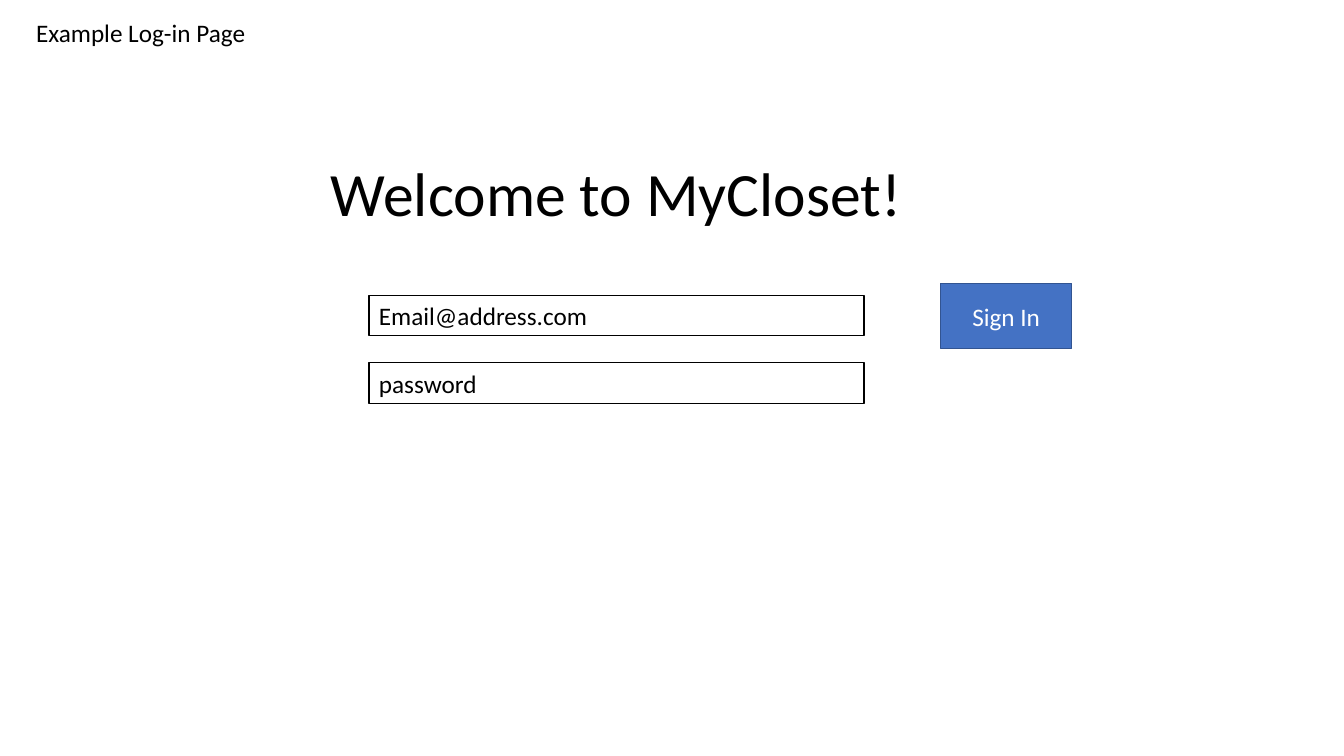
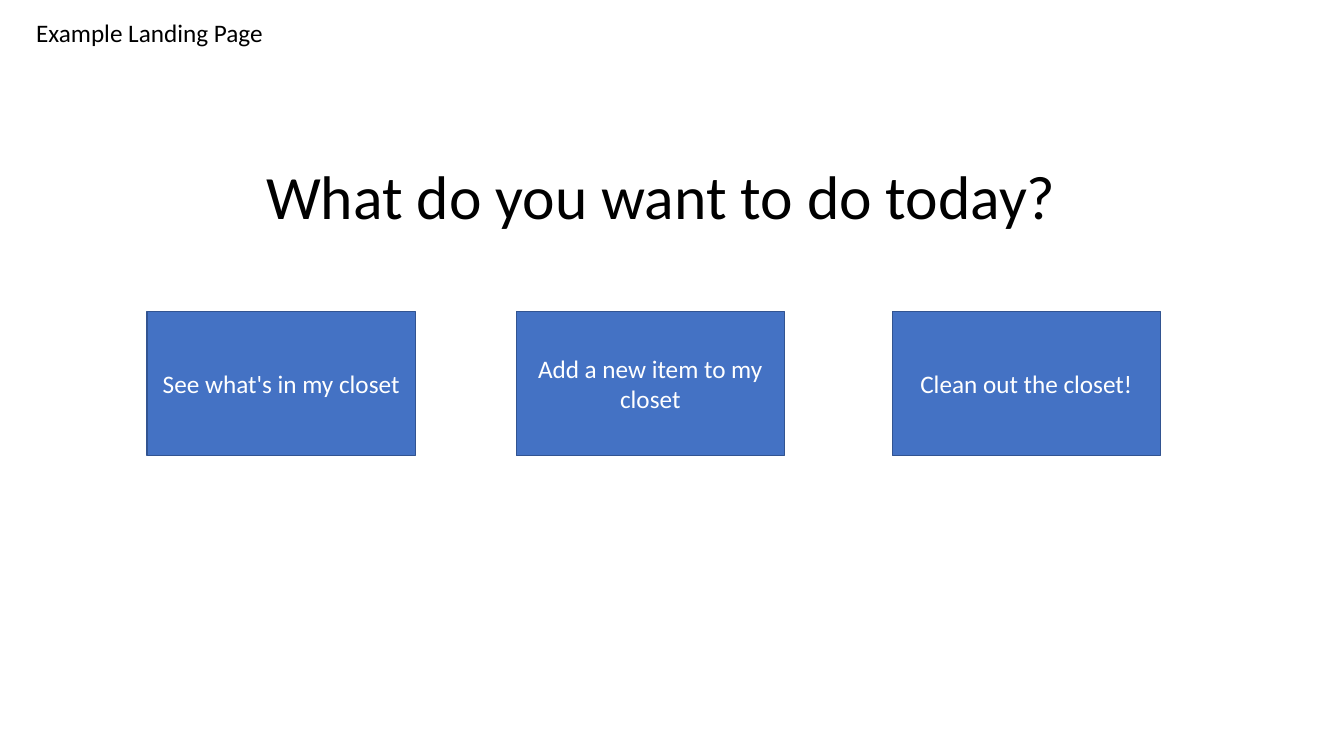
from pptx import Presentation
from pptx.dml.color import RGBColor
from pptx.enum.shapes import MSO_SHAPE
from pptx.enum.text import MSO_ANCHOR, MSO_AUTO_SIZE, PP_ALIGN
from pptx.util import Emu, Pt

PX = 9144
COLORS = {"black": "000000", "white": "FFFFFF", "blue": "4472C4", "navy": "325491"}
FONT = "Calibri"


def put_text(sp, text, size=18, color="black", align=PP_ALIGN.LEFT, anchor=MSO_ANCHOR.TOP):
    tf = sp.text_frame
    tf.word_wrap = True
    tf.auto_size = MSO_AUTO_SIZE.NONE
    tf.vertical_anchor = anchor
    p = tf.paragraphs[0]
    p.alignment = align
    r = p.add_run()
    r.text = text
    r.font.name = FONT
    r.font.size = Pt(size)
    r.font.color.rgb = RGBColor.from_string(COLORS[color])


def add_box(s, box, line, width, fill=None):
    sp = s.shapes.add_shape(MSO_SHAPE.RECTANGLE, *[Emu(v * PX) for v in box])
    sp.shadow.inherit = False
    if fill:
        sp.fill.solid()
        sp.fill.fore_color.rgb = RGBColor.from_string(COLORS[fill])
    else:
        sp.fill.background()
    sp.line.color.rgb = RGBColor.from_string(COLORS[line])
    sp.line.width = Pt(width)
    return sp


pages = [
    {
        "label": "Example Log-in Page",
        "title": "Welcome to MyCloset!",
        "title_box": (318, 149, 698, 84),
        "fields": [("Email@address.com", (366, 293, 491, 40)),
                   ("password", (366, 360, 491, 40))],
        "buttons": [("Sign In", (933, 281, 130, 65))],
    },
    {
        "label": "Example Landing Page",
        "title": "What do you want to do today?",
        "title_box": (254, 152, 825, 84),
        "fields": [],
        "buttons": [("See what's in my closet", (146, 309, 266, 143)),
                    ("Add a new item to my closet", (512, 309, 266, 143)),
                    ("Clean out the closet!", (885, 309, 266, 143))],
    },
]

prs = Presentation()
prs.slide_width = Emu(1333 * PX)
prs.slide_height = Emu(750 * PX)
title_only = prs.slide_layouts[5]

for page in pages:
    s = prs.slides.add_slide(title_only)

    label = s.shapes.add_textbox(*[Emu(v * PX) for v in (26, 12, 300, 40)])
    put_text(label, page["label"])

    title = s.shapes.title
    title.left, title.top, title.width, title.height = [Emu(v * PX) for v in page["title_box"]]
    put_text(title, page["title"], size=44)

    for text, box in page["buttons"]:
        button = add_box(s, box, line="navy", width=1, fill="blue")
        put_text(button, text, color="white", align=PP_ALIGN.CENTER, anchor=MSO_ANCHOR.MIDDLE)

    for text, box in page["fields"]:
        field = add_box(s, box, line="black", width=0.75)
        put_text(field, text)

prs.save("out.pptx")
